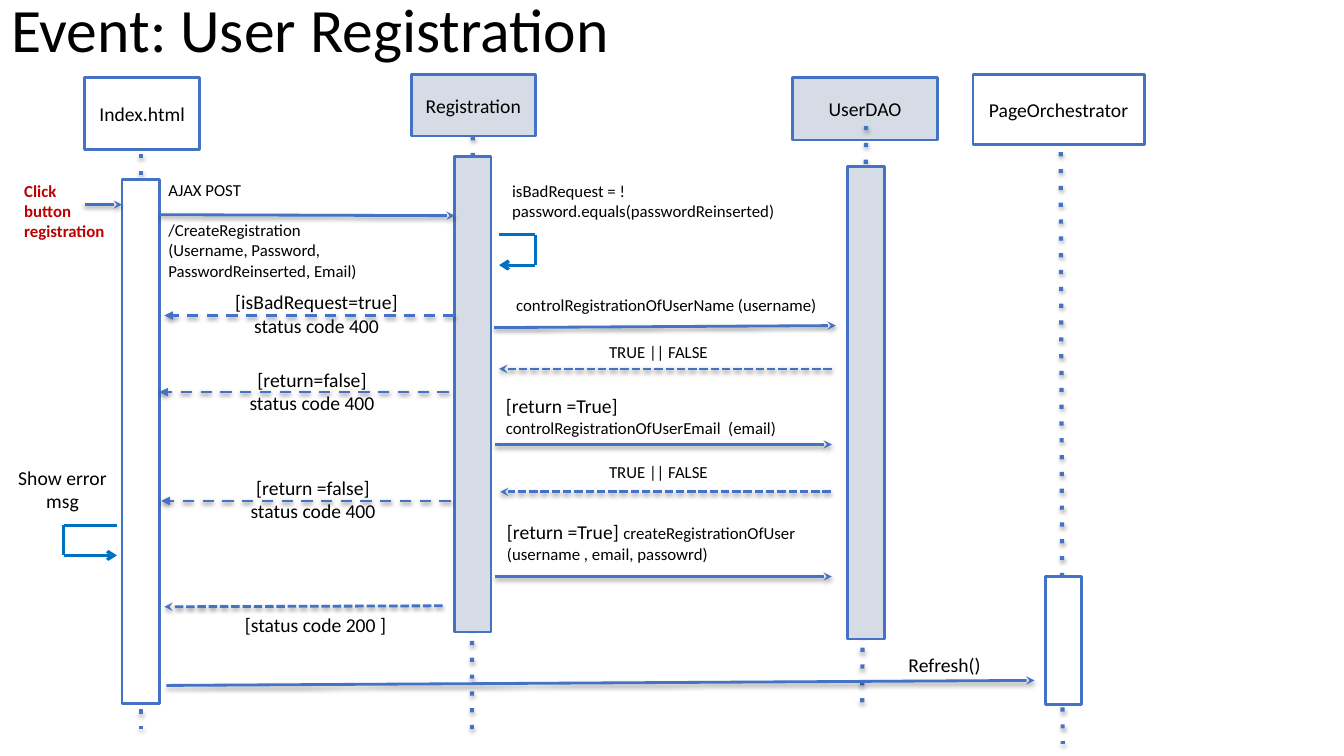
"""Build the user registration sequence diagram slide."""
import pptx
import pptx.util
import pptx.dml.color
import pptx.enum.shapes
import pptx.enum.text
import pptx.oxml
import pptx.oxml.ns

RGB = pptx.dml.color.RGBColor
BLACK = RGB(0x00, 0x00, 0x00)
WHITE = RGB(0xFF, 0xFF, 0xFF)
GREY = RGB(0xD6, 0xDC, 0xE5)
BLUE = RGB(0x44, 0x72, 0xC4)
BRIGHT_BLUE = RGB(0x00, 0x70, 0xC0)
RED = RGB(0xC0, 0x00, 0x00)

PX = 9144
FONT = "Calibri"
WIDE, NARROW = (12, 6), (10, 5)
LEFT, CENTER = pptx.enum.text.PP_ALIGN.LEFT, pptx.enum.text.PP_ALIGN.CENTER

TITLE = "Event: User Registration"
TITLE_AREA = (-1, 4, 975, 57)

# name, head box, fill, lifeline, activation bar
PARTICIPANTS = [
    ("Registration", (408, 74, 123, 61), GREY, (469, 135, 468, 729), (451, 155, 36, 472)),
    ("UserDAO", (786, 77, 144, 62), GREY, (859, 125, 855, 709), (841, 165, 36, 469)),
    ("PageOrchestrator", (965, 74, 170, 69), WHITE, (1052, 151, 1054, 738), (1037, 572, 36, 127)),
    ("Index.html", (84, 77, 114, 71), WHITE, (140, 153, 140, 723), (121, 178, 37, 520)),
]

CALL, REPLY, ERROR = ("solid", "stealth"), ("sysDash", "stealth"), ("dash", "triangle")
MESSAGES = [
    (CALL, (84, 203, 121, 203)),
    (CALL, (158, 213, 451, 214)),
    (CALL, (490, 325, 829, 323)),
    (REPLY, (825, 366, 495, 366)),
    (ERROR, (451, 313, 163, 313)),
    (ERROR, (445, 389, 158, 389)),
    (CALL, (491, 441, 825, 441)),
    (REPLY, (824, 488, 496, 488)),
    (ERROR, (447, 497, 160, 497)),
    (CALL, (491, 572, 825, 572)),
    (REPLY, (439, 601, 163, 602)),
    (CALL, (165, 680, 1026, 675)),
]

# near x, far x, top, bottom
SELF_CALLS = [(116, 63, 521, 551), (495, 531, 233, 263)]

# area, alignment, insets, paragraphs of (text, size) runs
LABELS = [
    ((500, 286, 327, 56), LEFT, WIDE, [[("controlRegistrationOfUserName (username)", 12)]]),
    ((592, 333, 132, 36), LEFT, WIDE, [[("TRUE || FALSE", 12)]]),
    ((592, 452, 132, 36), LEFT, WIDE, [[("TRUE || FALSE", 12)]]),
    ((219, 282, 190, 51), CENTER, WIDE, [[("[isBadRequest=true]", 14)], [("status code 400", 14)]]),
    ((212, 360, 195, 57), CENTER, NARROW, [[("[return=false]", 14)], [("status code 400", 14)]]),
    ((213, 467, 195, 57), CENTER, NARROW, [[("[return =false]", 14)], [("status code 400", 14)]]),
    ((492, 386, 344, 54), LEFT, NARROW,
     [[("[return =True] ", 14), ("controlRegistrationOfUserEmail  (email)", 12)]]),
    ((493, 511, 331, 54), LEFT, NARROW,
     [[("[return =True] ", 14), ("createRegistrationOfUser  (username , email, passowrd)", 12)]]),
    ((2, 456, 120, 61), CENTER, WIDE, [[("Show error msg", 14)]]),
    ((195, 603, 236, 34), CENTER, NARROW, [[("[status code 200 ]", 14)]]),
    ((889, 642, 105, 35), LEFT, WIDE, [[("Refresh()", 14)]]),
    ((496, 173, 326, 61), LEFT, WIDE,
     [[("isBadRequest = !password.equals(passwordReinserted)", 12)]]),
]
REQUEST = ((155, 172, 277, 110), LEFT, WIDE, [
    [("AJAX POST", 12)],
    [("/CreateRegistration", 12)],
    [("(Username, Password, PasswordReinserted, Email)", 12)],
])
TRIGGER = ((12, 173, 104, 84), LEFT, WIDE, [[("Click", 12)], [("button registration", 12)]])


def emu(lengths):
    return [length * PX for length in lengths]


def style_font(font, size, color=BLACK, bold=False):
    font.name, font.size, font.bold = FONT, pptx.util.Pt(size), bold
    font.color.rgb = color


def style_frame(frame, insets):
    frame.word_wrap = True
    frame.margin_left = frame.margin_right = insets[0] * PX
    frame.margin_top = frame.margin_bottom = insets[1] * PX


def add_box(slide, area, fill, name=""):
    box = slide.shapes.add_shape(pptx.enum.shapes.MSO_SHAPE.RECTANGLE, *emu(area))
    box.shadow.inherit = False
    box.fill.solid()
    box.fill.fore_color.rgb = fill
    box.line.color.rgb = BLUE
    box.line.width = pptx.util.Pt(2)
    if name:
        frame = box.text_frame
        style_frame(frame, WIDE)
        frame.vertical_anchor = pptx.enum.text.MSO_ANCHOR.MIDDLE
        frame.text = name
        frame.paragraphs[0].alignment = CENTER
        style_font(frame.paragraphs[0].runs[0].font, 14)


def add_child(parent, tag, **attributes):
    child = pptx.oxml.parse_xml(f"<{tag} {pptx.oxml.ns.nsdecls('a')}/>")
    for key, value in attributes.items():
        child.set(key, value)
    parent.append(child)
    return child


def add_line(slide, ends, color, width, dash="solid", arrow="none", shadow=None):
    line = slide.shapes.add_connector(pptx.enum.shapes.MSO_CONNECTOR.STRAIGHT, *emu(ends))
    line.line.color.rgb = color
    line.line.width = pptx.util.Pt(width)
    stroke = line.line._get_or_add_ln()
    add_child(stroke, "a:prstDash", val=dash)
    add_child(stroke, "a:tailEnd", type=arrow)
    effects = add_child(line._element.spPr, "a:effectLst")
    if shadow:
        opacity, distance = shadow
        cast = add_child(effects, "a:outerShdw", blurRad="39370",
                         dist=str(distance), dir="5400000", rotWithShape="0")
        shade = add_child(cast, "a:srgbClr", val=str(BLACK))
        add_child(shade, "a:alpha", val=str(opacity * 1000))


def add_label(slide, area, alignment, insets, paragraphs, color=BLACK, bold=False):
    frame = slide.shapes.add_textbox(*emu(area)).text_frame
    style_frame(frame, insets)
    for index, runs in enumerate(paragraphs):
        paragraph = frame.add_paragraph() if index else frame.paragraphs[0]
        paragraph.alignment = alignment
        for text, size in runs:
            run = paragraph.add_run()
            run.text = text
            style_font(run.font, size, color, bold)
    return frame


def main():
    deck = pptx.Presentation()
    deck.slide_width, deck.slide_height = emu((1333, 750))
    slide = deck.slides.add_slide(deck.slide_layouts[5])

    title = slide.shapes.title
    title.left, title.top, title.width, title.height = emu(TITLE_AREA)
    title.text_frame.text = TITLE
    style_frame(title.text_frame, WIDE)
    title.text_frame.auto_size = pptx.enum.text.MSO_AUTO_SIZE.NONE
    title.text_frame.vertical_anchor = pptx.enum.text.MSO_ANCHOR.MIDDLE
    heading = title.text_frame.paragraphs[0]
    heading.alignment, heading.line_spacing = LEFT, 0.9
    style_font(heading.runs[0].font, 44)

    for name, head, fill, lifeline, bar in PARTICIPANTS:
        add_box(slide, head, fill, name)
        add_line(slide, lifeline, BLUE, 3, "dot", shadow=(35, 22860))
        add_box(slide, bar, fill)
    for (dash, arrow), ends in MESSAGES:
        add_line(slide, ends, BLUE, 2, dash, arrow, shadow=(38, 20320))
    for near, far, top, bottom in SELF_CALLS:
        add_line(slide, (near, top, far, top), BRIGHT_BLUE, 2.25)
        add_line(slide, (far, top, far, bottom), BRIGHT_BLUE, 2.25)
        add_line(slide, (far, bottom, near, bottom), BRIGHT_BLUE, 2.25, arrow="arrow")

    for label in LABELS:
        add_label(slide, *label)
    add_label(slide, *TRIGGER, color=RED, bold=True)
    request = add_label(slide, *REQUEST)
    request.paragraphs[1].space_before = pptx.util.Pt(14.6)
    deck.save("out.pptx")


if __name__ == "__main__":
    main()
